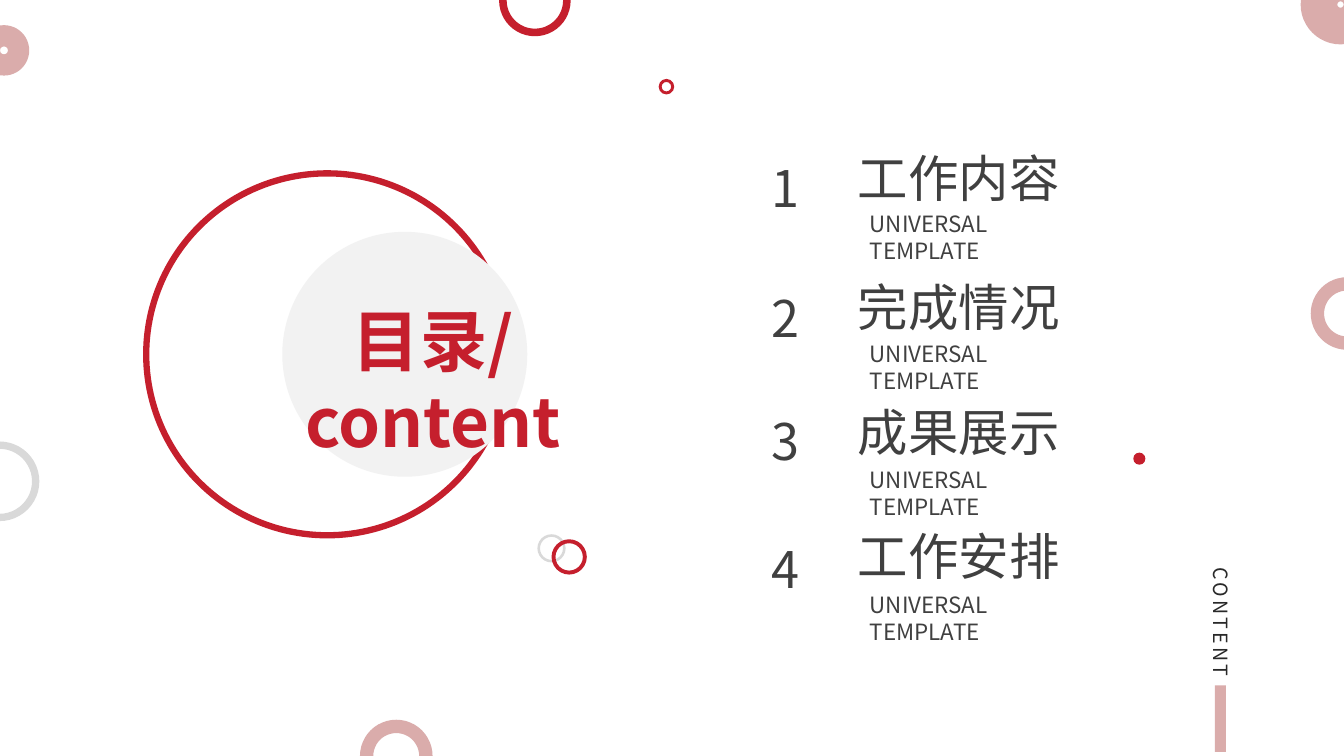
from pptx import Presentation
from pptx import util as u
from pptx.dml.color import RGBColor
from pptx.enum import shapes, text

RED, ROSE, SILVER, PALE = "C51F2D", "DAACAB", "D9D9D9", "F2F2F2"
DARK, BLACK = "404040", "292929"


def rgb(value):
    return RGBColor.from_string(value)


class Deck:
    font = "Noto Sans CJK SC"

    def __init__(self):
        self.prs = Presentation()
        self.prs.slide_width = u.Inches(13.33)
        self.prs.slide_height = u.Inches(7.5)
        self.s = self.prs.slides.add_slide(self.prs.slide_layouts[6])

    def shape(self, kind, x, y, w, h, fill=None, line=None, weight=1):
        sp = self.s.shapes.add_shape(kind, *map(u.Inches, (x, y, w, h)))
        sp.shadow.inherit = False
        if fill:
            sp.fill.solid()
            sp.fill.fore_color.rgb = rgb(fill)
        else:
            sp.fill.background()
        if line:
            sp.line.color.rgb = rgb(line)
            sp.line.width = u.Pt(weight)
        else:
            sp.line.fill.background()
        return sp

    def circle(self, x, y, size, **style):
        return self.shape(shapes.MSO_SHAPE.OVAL, x, y, size, size, **style)

    def ring(self, x, y, size, thickness, color, line=None):
        """Donut whose thickness is a share of its size."""
        sp = self.shape(shapes.MSO_SHAPE.DONUT, x, y, size, size, color, line)
        sp.adjustments[0] = thickness

    def label(self, words, x, y, w, h, size, color=DARK, bold=False, align=None):
        sp = self.s.shapes.add_textbox(*map(u.Inches, (x, y, w, h)))
        tf = sp.text_frame
        tf.word_wrap = True
        tf.auto_size = text.MSO_AUTO_SIZE.SHAPE_TO_FIT_TEXT
        tf.text = words
        p = tf.paragraphs[0]
        p.alignment = align
        r = p.runs[0]
        r.font.size = u.Pt(size)
        r.font.name = self.font
        r.font.bold = bold
        r.font.color.rgb = rgb(color)
        rPr = r.font._element
        ea = rPr.makeelement(rPr.find("{*}latin").tag.replace("latin", "ea"),
                             {"typeface": self.font})
        rPr.find("{*}latin").addnext(ea)
        return sp

    def vertical_label(self, words, x, y, w, h, size, color, spacing):
        """Text that runs downwards, letter spacing in points."""
        tf = self.label(words, x, y, w, h, size, color).text_frame
        tf.margin_left = tf.margin_right = u.Inches(0.07)
        tf.margin_top = tf.margin_bottom = u.Inches(0.04)
        tf._txBody.bodyPr.set("vert", "eaVert")
        rPr = tf.paragraphs[0].runs[0].font._element
        rPr.set("spc", str(round(spacing * 100)))

    def agenda_item(self, number, title, title_y, number_y, subtitle_y):
        self.label(title, 8.41, title_y, 2.87, 0.71, 36)
        self.label(number, 7.55, number_y, 0.46, 0.71, 36)
        self.label("UNIVERSAL TEMPLATE", 8.53, subtitle_y, 2.16, 0.37, 16,
                   align=text.PP_ALIGN.JUSTIFY)


def main():
    deck = Deck()
    deck.circle(1.45, 1.72, 3.59, line=RED, weight=4.5)

    agenda = [
        ("工作内容", 1.41, 1.51, 2.04),
        ("完成情况", 2.69, 2.8, 3.33),
        ("成果展示", 3.93, 4.02, 4.58),
        ("工作安排", 5.16, 5.29, 5.82),
    ]
    for number, item in enumerate(agenda, 1):
        deck.agenda_item(str(number), *item)

    deck.vertical_label("CONTENT", 11.91, 5.59, 0.39, 2.01, 14, BLACK, 2.2)
    deck.shape(shapes.MSO_SHAPE.RECTANGLE, 12.05, 6.8, 0.11, 0.66, ROSE)

    rings = [
        (-0.4, 4.38, 0.79, 0.092, SILVER),
        (5.33, 5.3, 0.28, 0.092, SILVER),
        (5.47, 5.35, 0.35, 0.112, RED),
        (3.57, 7.14, 0.72, 0.184, ROSE),
        (-0.21, 0.25, 0.5, 0.421, ROSE),
        (4.95, -0.35, 0.71, 0.106, RED),
        (6.54, 0.79, 0.14, 0.112, RED, RED),
        (13, 2.75, 0.72, 0.184, ROSE),
        (12.9, -0.35, 0.79, 0.46, ROSE),
    ]
    for ring in rings:
        deck.ring(*ring)

    deck.circle(11.24, 4.49, 0.12, fill=RED)
    deck.circle(2.8, 2.3, 2.43, fill=PALE)
    deck.label("目录/content", 2.14, 2.92, 4.31, 0.91, 48, RED, True,
               text.PP_ALIGN.CENTER)
    deck.prs.save("out.pptx")


if __name__ == "__main__":
    main()
